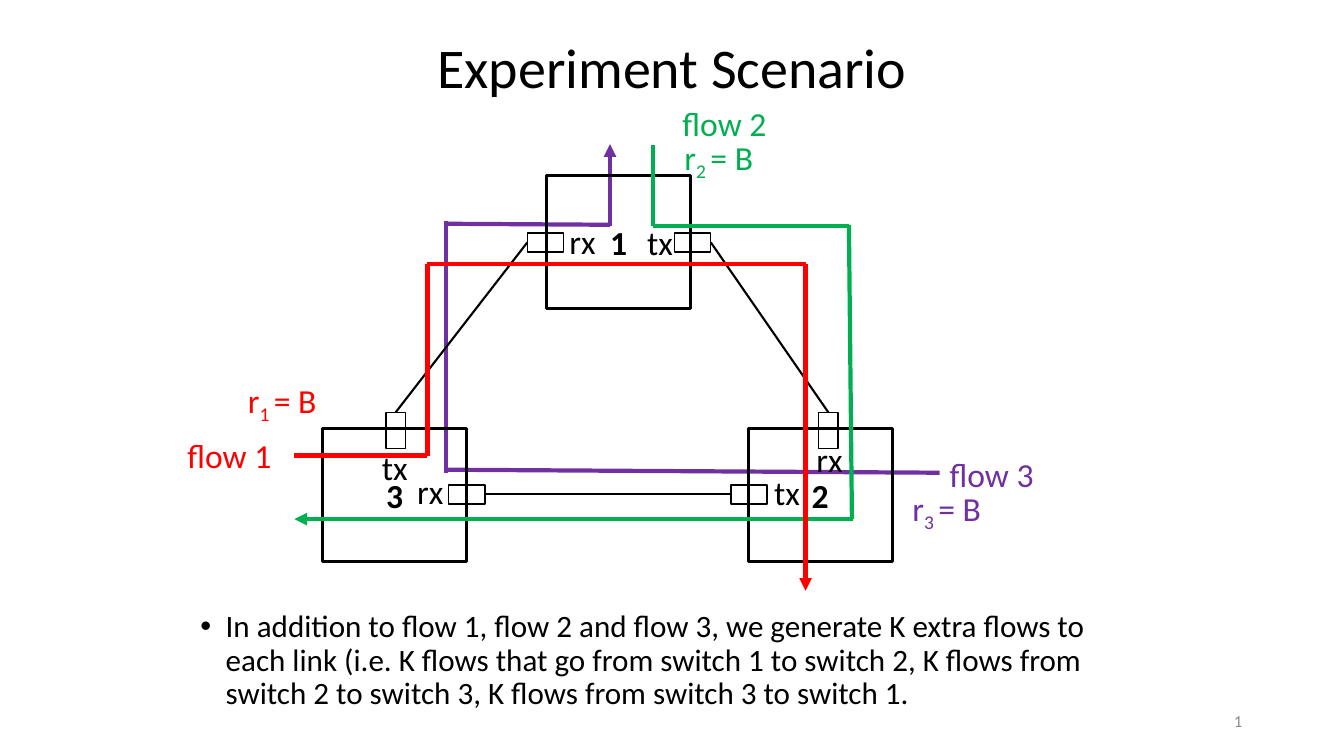
from pptx import Presentation
from pptx.dml.color import RGBColor
from pptx.enum.shapes import MSO_CONNECTOR as CONN, MSO_SHAPE as SHAPE
from pptx.enum.text import MSO_ANCHOR as ANCHOR, PP_ALIGN as ALIGN
from pptx.oxml.ns import qn
from pptx.util import Inches, Pt
from lxml.etree import SubElement

BLACK = RGBColor(0x00, 0x00, 0x00)
GRAY = RGBColor(0x8C, 0x8C, 0x8C)
RED = RGBColor(0xFF, 0x00, 0x00)
GREEN = RGBColor(0x00, 0xB0, 0x50)
PURPLE = RGBColor(0x70, 0x30, 0xA0)

prs = Presentation()
prs.slide_width, prs.slide_height = Inches(13.33), Inches(7.5)
s = prs.slides.add_slide(prs.slide_layouts[6])


def add_text(text, box=None, sp=None, size=24, color=BLACK, bold=False,
             align=ALIGN.LEFT, anchor=ANCHOR.TOP, wrap=False, sub=None):
    """Write into sp or a new text box; sub is the part of text set as subscript."""
    sp = sp or s.shapes.add_textbox(*map(Inches, box))
    tf = sp.text_frame
    tf.word_wrap, tf.vertical_anchor = wrap, anchor
    p = tf.paragraphs[0]
    p.alignment = align
    for part in text.partition(sub) if sub else [text]:
        r = p.add_run()
        r.text = part
        r.font.name, r.font.size, r.font.bold = "Calibri", Pt(size), bold
        r.font.color.rgb = color
        if part == sub:
            r._r.get_or_add_rPr().set("baseline", "-25000")
    return p


def add_line(x1, y1, x2, y2, color=BLACK, width=1.5, arrow=False):
    c = s.shapes.add_connector(CONN.STRAIGHT, *map(Inches, (x1, y1, x2, y2)))
    c.line.color.rgb, c.line.width = color, Pt(width)
    if arrow:
        SubElement(c.line._get_or_add_ln(), qn("a:tailEnd"), type="triangle")
    SubElement(c._element.spPr, qn("a:effectLst"))
    return c


# Title and page number
add_text("1", (9.42, 6.95, 3, 0.4), size=12, color=GRAY, align=ALIGN.RIGHT,
         anchor=ANCHOR.MIDDLE, wrap=True)
add_text("Experiment Scenario", (0.5, 0.27, 12.33, 0.77), size=40,
         align=ALIGN.CENTER, wrap=True)

# Flow 3, behind the switches
for *ends, arrow in [(4.42, 2.19, 4.42, 4.69, False),
                     (9.32, 4.69, 4.42, 4.66, False),
                     (4.41, 2.22, 6.05, 2.23, False),
                     (6.05, 2.24, 6.05, 1.43, True)]:
    add_line(*ends, color=PURPLE, width=3, arrow=arrow)

# Bulleted note
p = add_text("In addition to flow 1, flow 2 and flow 3, we generate K extra flows to "
             "each link (i.e. K flows that go from switch 1 to switch 2, K flows from "
             "switch 2 to switch 3, K flows from switch 3 to switch 1.",
             (1.89, 6.01, 9.17, 1.3), size=22.2, wrap=True)
p.line_spacing, p.space_before = 0.9, Pt(10)
pPr = p._p.get_or_add_pPr()
pPr.set("marL", str(Inches(0.25)))
pPr.set("indent", str(Inches(-0.25)))
SubElement(pPr, qn("a:buFont"), typeface="Arial")
SubElement(pPr, qn("a:buChar"), char="•")

# Switches and their ports
SWITCH, ACROSS, UPRIGHT = (1.43, 1.32), (0.36, 0.19), (0.19, 0.36)
rects = {}
for name, x, y, size, width in [
        ("1", 5.42, 1.74, SWITCH, 2.25), ("2", 7.42, 4.25, SWITCH, 2.25),
        ("3", 3.2, 4.25, SWITCH, 2.25),
        ("tx1", 6.69, 2.31, ACROSS, 1), ("rx1", 5.23, 2.31, ACROSS, 1),
        ("tx2", 7.25, 4.81, ACROSS, 1), ("rx2", 8.12, 4.09, UPRIGHT, 1),
        ("tx3", 3.83, 4.09, UPRIGHT, 1), ("rx3", 4.45, 4.81, ACROSS, 1)]:
    sp = s.shapes.add_shape(SHAPE.RECTANGLE, *map(Inches, (x, y, *size)))
    sp.shadow.inherit = False
    sp.fill.background()
    sp.line.color.rgb, sp.line.width = BLACK, Pt(width)
    if size == SWITCH:
        add_text(name, sp=sp, bold=True, align=ALIGN.CENTER,
                 anchor=ANCHOR.MIDDLE, wrap=True)
    rects[name] = sp

# Links between ports
for start, start_side, end, end_side in [("rx1", 1, "tx3", 0), ("tx1", 3, "rx2", 0),
                                         ("rx3", 3, "tx2", 1)]:
    link = add_line(0, 0, 1, 1)
    link.begin_connect(rects[start], start_side)
    link.end_connect(rects[end], end_side)

# Flows 2 and 1, in front of the switches
for *ends, color, arrow in [(6.48, 2.24, 8.42, 2.24, GREEN, False),
                            (6.48, 1.44, 6.48, 2.24, GREEN, False),
                            (8.42, 2.23, 8.45, 5.15, GREEN, False),
                            (8.46, 5.15, 2.92, 5.15, GREEN, True),
                            (4.24, 2.62, 7.99, 2.62, RED, False),
                            (4.24, 2.62, 4.24, 4.52, RED, False),
                            (2.92, 4.52, 4.24, 4.52, RED, False),
                            (7.99, 2.62, 7.99, 5.86, RED, True)]:
    add_line(*ends, color=color, width=3, arrow=arrow)

# Port labels
for label, x, y in [("rx", 8, 4.31), ("tx", 7.58, 4.63), ("tx", 6.32, 2.15),
                    ("rx", 5.55, 2.14), ("tx", 3.69, 4.38), ("rx", 4.04, 4.62)]:
    add_text(label, (x, y, 0.46, 0.5))

# Flow names and rates
for n, color, name_at, rate_at in [("1", RED, (1.76, 4.27), (2.36, 3.72)),
                                   ("2", GREEN, (6.67, 0.97), (6.69, 1.31)),
                                   ("3", PURPLE, (9.32, 4.45), (8.95, 4.79))]:
    add_text(f"flow {n}", (*name_at, 1.04, 0.5), color=color)
    add_text(f"r{n} = B", (*rate_at, 0.91, 0.5), color=color, sub=f"{n} ")

prs.save("out.pptx")
